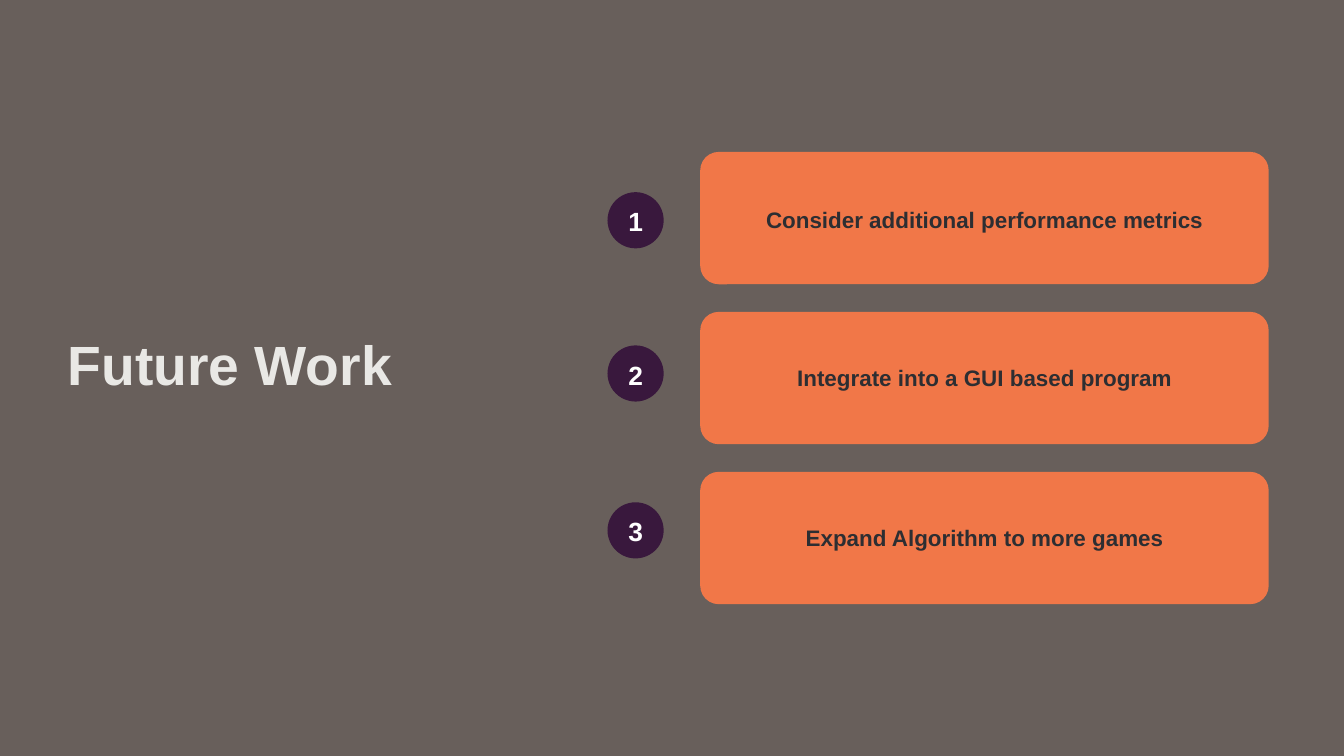
import dataclasses

import pptx
import pptx.dml.color
import pptx.enum.shapes
import pptx.enum.text
import pptx.util

WIDE, HIGH = 20, 11.25
FONT = "Arial"
SHAPE = pptx.enum.shapes.MSO_SHAPE
ALIGN = pptx.enum.text.PP_ALIGN


@dataclasses.dataclass
class Box:
    """Place and size in percent of the slide's width and height."""
    x: float
    y: float
    w: float
    h: float

    def frame(self) -> tuple:
        """Return left, top, width and height as lengths."""
        sides = (self.x * WIDE, self.y * HIGH, self.w * WIDE, self.h * HIGH)
        return tuple(pptx.util.Inches(side / 100) for side in sides)


@dataclasses.dataclass
class Style:
    """Size, line pitch, colour and alignment of a text."""
    size: float
    pitch: float
    color: str
    align: ALIGN


@dataclasses.dataclass
class Step:
    """A numbered goal with the tops of its disc and caption."""
    text: str
    disc: float
    label: float


HEAD = Style(59.2, 71.1, "E9E8E5", ALIGN.LEFT)
DIGIT = Style(28.2, 36.6, "FFFFFF", ALIGN.CENTER)
LABEL = Style(24, 31.2, "2D2E32", ALIGN.CENTER)
STEPS = [
    Step("Consider additional performance metrics", 25.42, 27.02),
    Step("Integrate into a GUI based program", 45.69, 47.91),
    Step("Expand Algorithm to more games", 66.44, 68.98),
]


def paint(fill, color: str) -> None:
    """Make a fill solid in a hex colour."""
    fill.solid()
    fill.fore_color.rgb = pptx.dml.color.RGBColor.from_string(color)


def write(shape, text: str, style: Style) -> None:
    """Write one styled line into a shape without margins."""
    frame = shape.text_frame
    frame.word_wrap = True
    frame.auto_size = pptx.enum.text.MSO_AUTO_SIZE.NONE
    frame.vertical_anchor = pptx.enum.text.MSO_ANCHOR.TOP
    frame.margin_left = frame.margin_right = 0
    frame.margin_top = frame.margin_bottom = 0
    line = frame.paragraphs[0]
    line.alignment = style.align
    line.line_spacing = pptx.util.Pt(style.pitch)
    line.space_before = pptx.util.Pt(0)
    run = line.add_run()
    run.text = text
    run.font.name = FONT
    run.font.size = pptx.util.Pt(style.size)
    run.font.bold = True
    paint(run.font.fill, style.color)


def draw(slide, kind: SHAPE, box: Box, color: str):
    """Add a plain filled shape."""
    shape = slide.shapes.add_shape(kind, *box.frame())
    shape.shadow.inherit = False
    paint(shape.fill, color)
    shape.line.fill.background()
    return shape


def label(slide, box: Box, text: str, style: Style) -> None:
    """Add a text box."""
    write(slide.shapes.add_textbox(*box.frame()), text, style)


def add_step(slide, index: int, step: Step) -> None:
    """Add a card, its numbered disc and its caption."""
    card = Box(52.1, 20.09 + 21.16 * index, 42.3, 17.51)
    shape = draw(slide, SHAPE.ROUNDED_RECTANGLE, card, "F17748")
    shape.adjustments[0] = 0.14
    draw(slide, SHAPE.OVAL, Box(45.2, step.disc, 4.18, 7.43), "39183D")
    label(slide, Box(46.05, step.disc + 1.42, 2.5, 4.27), str(index + 1), DIGIT)
    label(slide, Box(card.x, step.label, card.w, 3.91), step.text, LABEL)


def main() -> None:
    """Build and save the slide."""
    deck = pptx.Presentation()
    deck.slide_width = pptx.util.Inches(WIDE)
    deck.slide_height = pptx.util.Inches(HIGH)
    slide = deck.slides.add_slide(deck.slide_layouts[5])
    paint(slide.background.fill, "685F5B")
    title = slide.shapes.title
    place = Box(5.05, 43.73, 31.2, 8.8).frame()
    title.left, title.top, title.width, title.height = place
    write(title, "Future Work", HEAD)
    for index, step in enumerate(STEPS):
        add_step(slide, index, step)
    deck.save("out.pptx")


if __name__ == "__main__":
    main()
